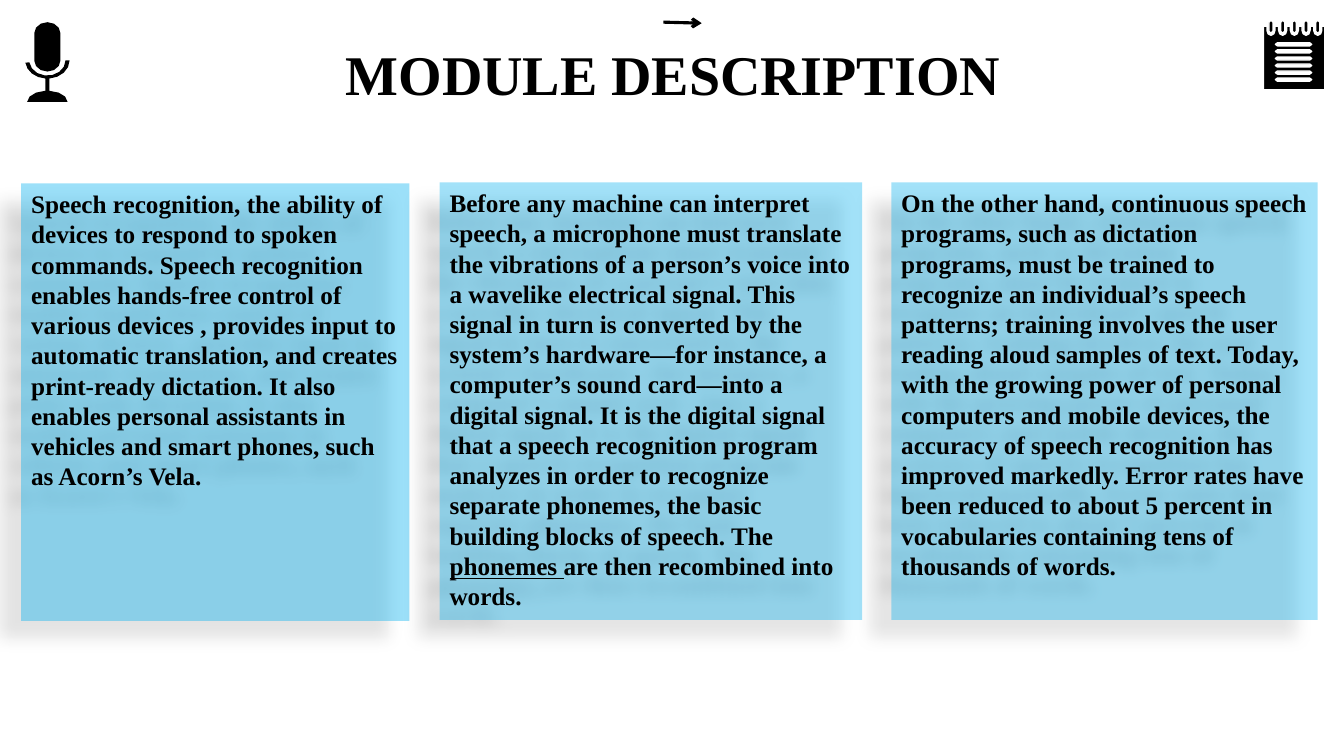
from math import cos, radians, sin

from lxml.etree import SubElement
from pptx import Presentation
from pptx.dml.color import RGBColor
from pptx.enum.shapes import MSO_CONNECTOR as CONNECTOR, MSO_SHAPE as SHAPE
from pptx.enum.text import MSO_ANCHOR as ANCHOR, PP_ALIGN as ALIGN
from pptx.oxml.ns import qn
from pptx.util import Pt

PX = 9144  # 100 px to the inch
FONT = "Times New Roman"
BLACK, WHITE, SKY = "000000", "FFFFFF", "00B0F0"

ABILITY = [
    "Speech recognition, the ability of devices to respond to spoken commands. "
    "Speech recognition enables hands-free control of various devices , provides "
    "input to automatic translation, and creates print-ready dictation. It also "
    "enables personal assistants in vehicles and smart phones, such as Acorn’s Vela."
]
SIGNAL = [
    "Before any machine can interpret speech, a microphone must translate the "
    "vibrations of a person’s voice into a wavelike electrical signal. This signal "
    "in turn is converted by the system’s hardware—for instance, a computer’s sound "
    "card—into a digital signal. It is the digital signal that a speech recognition "
    "program analyzes in order to recognize separate phonemes, the basic building "
    "blocks of speech. The ",
    "phonemes ",
    "are then recombined into words.",
]
TRAINING = [
    "On the other hand, continuous speech programs, such as dictation programs, must "
    "be trained to recognize an individual’s speech patterns; training involves the "
    "user reading aloud samples of text. Today, with the growing power of personal "
    "computers and mobile devices, the accuracy of speech recognition has improved "
    "markedly. Error rates have been reduced to about 5 percent in vocabularies "
    "containing tens of thousands of words."
]
UNDERLINED = "phonemes "


def color(value):
    return RGBColor.from_string(value)


def set_alpha(parent, percent):
    SubElement(parent, qn("a:alpha"), val=str(percent * 1000))


def write(frame, texts, size, align):
    frame.word_wrap = True
    frame.vertical_anchor = ANCHOR.TOP
    paragraph = frame.paragraphs[0]
    paragraph.alignment = align
    font = paragraph.font
    font.name, font.size, font.bold = FONT, Pt(size), True
    font.color.rgb = color(BLACK)
    for text in texts:
        run = paragraph.add_run()
        run.text = text
        if text == UNDERLINED:
            run.font.underline = True


def arc(cx, cy, rx, ry, start, end, steps=2):
    angles = [radians(start + (end - start) * i / steps) for i in range(steps + 1)]
    return [(cx + rx * cos(a), cy + ry * sin(a)) for a in angles]


def draw_outline(slide, left, top, contours):
    """Draw closed contours, given in px from left and top, as one black shape."""
    scaled = [[(x * PX, y * PX) for x, y in contour] for contour in contours]
    builder = slide.shapes.build_freeform(*scaled[0][0])
    for i, contour in enumerate(scaled):
        if i:
            builder.move_to(*contour[0])
        builder.add_line_segments(contour[1:], close=True)
    outline = builder.convert_to_shape(left * PX, top * PX)
    outline.shadow.inherit = False
    outline.fill.solid()
    outline.fill.fore_color.rgb = color(BLACK)
    return outline


def add_microphone(slide, left, top):
    capsule = arc(22, 11, 13, 11, 180, 360, 6) + arc(22, 38, 13, 11, 0, 180, 6)
    stand = (
        arc(22, 38, 22, 18, 0, 85, 4)
        + arc(22, 79, 20, 11, -84, 0, 3)
        + arc(22, 79, 20, 11, 180, 264, 3)
        + arc(22, 38, 22, 18, 95, 173, 4)
        + arc(22, 38, 18, 15, 173, 0, 7)
    )
    draw_outline(slide, left, top, [stand, capsule]).line.fill.background()


def add_notepad(slide, left, top):
    ring_centers = [7.6 + 11.6 * i for i in range(5)]
    rings = [arc(x, 2, 2, 2, 180, 360) + arc(x, 11, 2, 2, 0, 180) for x in ring_centers]
    page = [(0, 6)]
    for x in ring_centers:
        page += [(x - 4, 6)] + arc(x, 10, 4, 5, 180, 0, 4) + [(x + 4, 6)]
    page += [(61, 6), (61, 69), (0, 69)]
    rows = [
        arc(14, y, 2, 1.5, 90, 270) + arc(46, y, 2, 1.5, -90, 90)
        for y in range(24, 60, 7)
    ]
    notepad = draw_outline(slide, left, top, [page] + rows + rings)
    notepad.line.color.rgb = color(WHITE)
    notepad.line.width = Pt(1)


def add_title(slide, left, top, width, height):
    title = slide.shapes.add_textbox(left * PX, top * PX, width * PX, height * PX)
    write(title.text_frame, ["MODULE DESCRIPTION"], 40, ALIGN.LEFT)


def add_arrow(slide, x1, y1, x2, y2):
    arrow = slide.shapes.add_connector(
        CONNECTOR.STRAIGHT, x1 * PX, y1 * PX, x2 * PX, y2 * PX
    )
    arrow.line.color.rgb = color(BLACK)
    arrow.line.width = Pt(2.25)
    SubElement(arrow.line._get_or_add_ln(), qn("a:tailEnd"), type="arrow")
    SubElement(arrow._element.spPr, qn("a:effectLst"))


def add_card(slide, left, top, width, height, opacity, texts):
    card = slide.shapes.add_shape(
        SHAPE.RECTANGLE, left * PX, top * PX, width * PX, height * PX
    )
    card.fill.solid()
    card.fill.fore_color.rgb = color(SKY)
    properties = card._element.spPr
    set_alpha(properties.find(".//" + qn("a:srgbClr")), opacity)
    card.line.fill.background()
    # Soft shadow to the lower left
    card.shadow.inherit = False
    shadow = SubElement(
        properties.find(qn("a:effectLst")), qn("a:outerShdw"),
        blurRad=str(Pt(11.8)), dist=str(Pt(19.7)), dir=str(141 * 60000),
        algn="tr", rotWithShape="0",
    )
    set_alpha(SubElement(shadow, qn("a:srgbClr"), val=BLACK), 28)
    write(card.text_frame, texts, 18, ALIGN.LEFT)


def build_module_slide(presentation):
    slide = presentation.slides.add_slide(presentation.slide_layouts[6])
    # Header
    add_title(slide, 333, 34, 678, 77)
    add_microphone(slide, 25, 22)
    add_notepad(slide, 1253, 20)
    add_arrow(slide, 658, 22, 696, 23)
    # Three text cards
    add_card(slide, 21, 182, 385, 434, 39, ABILITY)
    add_card(slide, 436, 181, 419, 434, 36, SIGNAL)
    add_card(slide, 884, 181, 423, 434, 36, TRAINING)


def main():
    presentation = Presentation()
    presentation.slide_width = 1333 * PX
    presentation.slide_height = 750 * PX
    build_module_slide(presentation)
    presentation.save("out.pptx")


if __name__ == "__main__":
    main()
